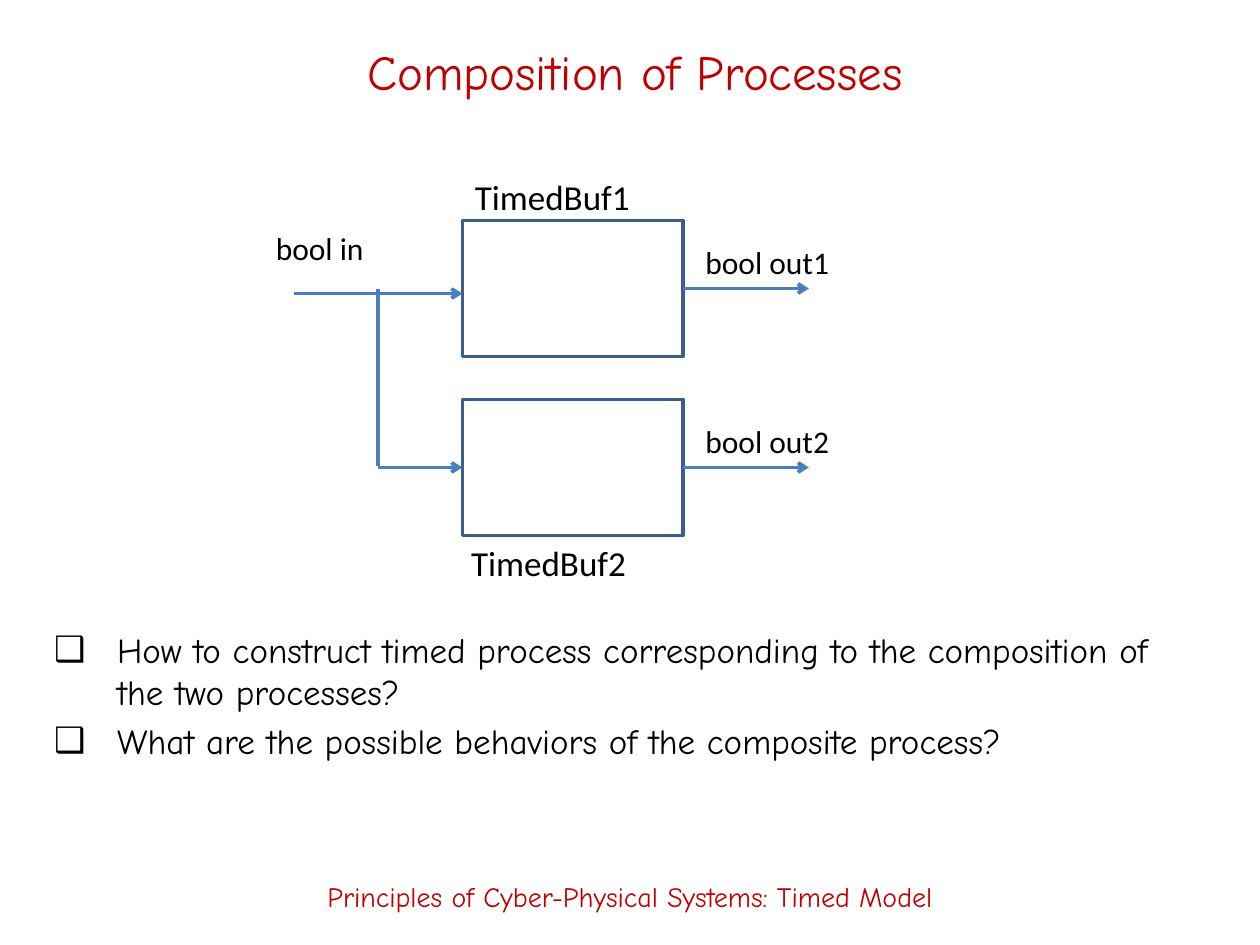
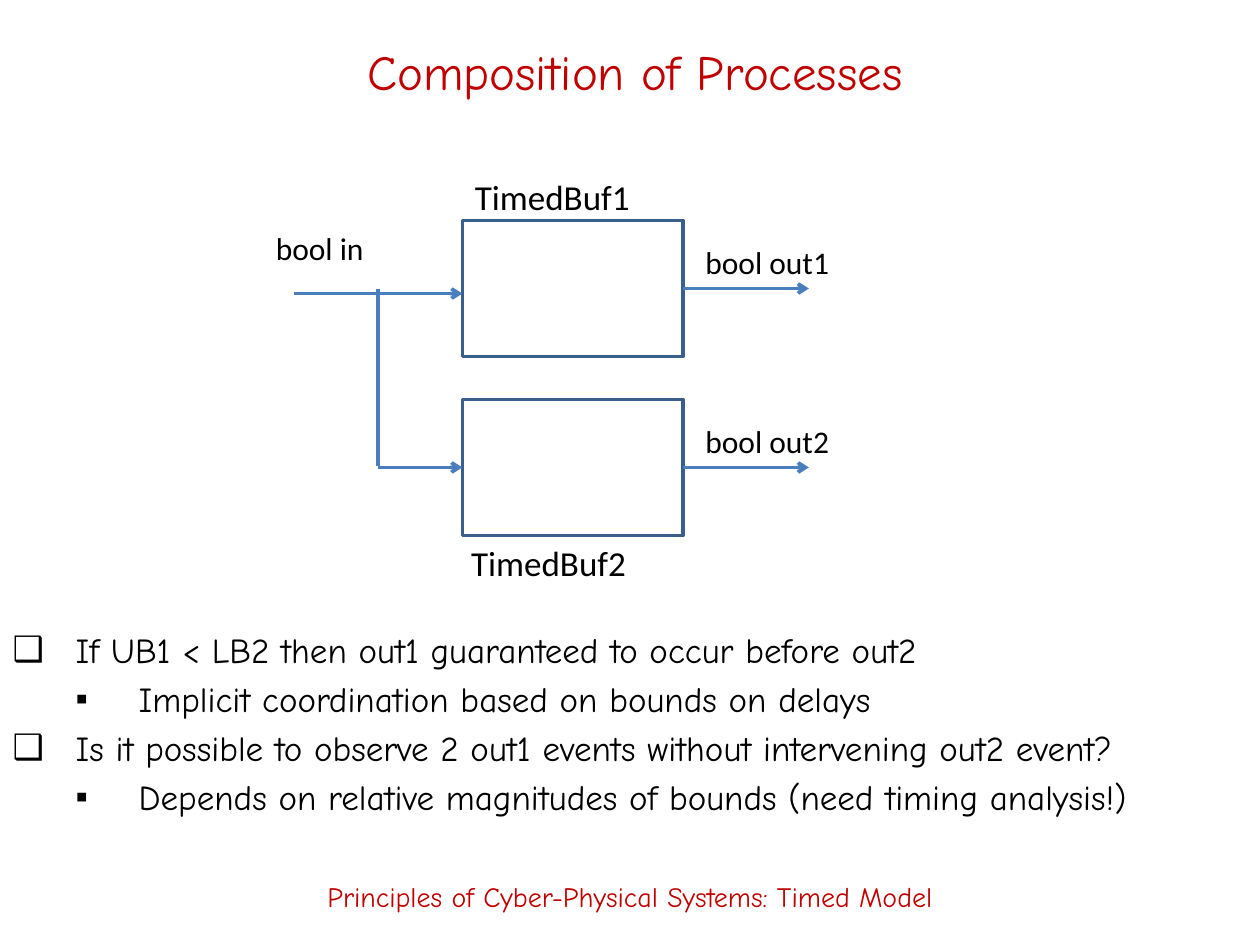
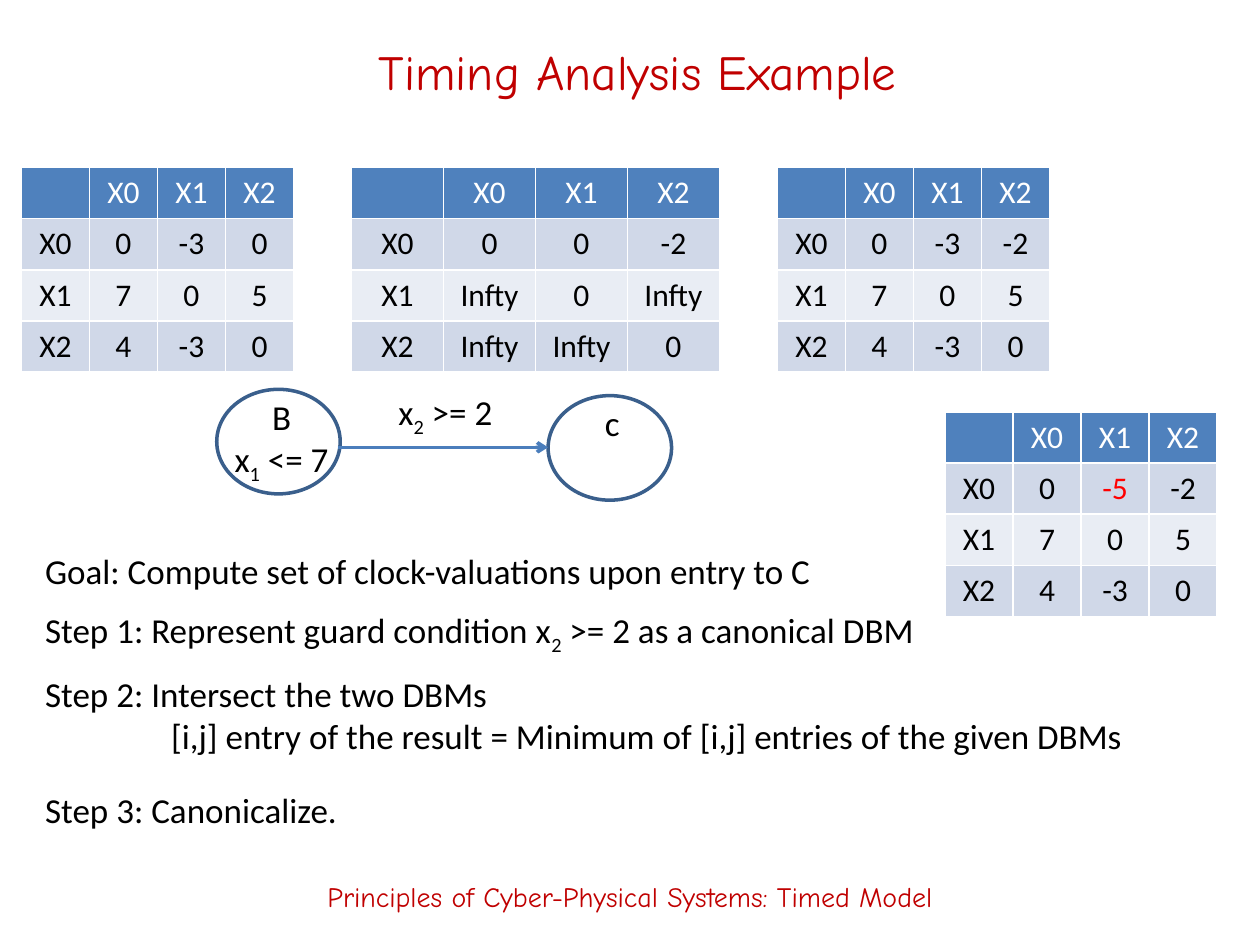
import pptx
import pptx.util
import pptx.dml.color
import pptx.enum.shapes
import pptx.enum.text
import pptx.oxml
import pptx.oxml.ns

Inches = pptx.util.Inches
Pt = pptx.util.Pt
RGBColor = pptx.dml.color.RGBColor
SHAPE = pptx.enum.shapes.MSO_SHAPE
AUTO = pptx.enum.text.MSO_AUTO_SIZE
MIDDLE = pptx.enum.text.MSO_ANCHOR.MIDDLE
LEFT = pptx.enum.text.PP_ALIGN.LEFT
CENTER = pptx.enum.text.PP_ALIGN.CENTER

RED = RGBColor(0xC0, 0x00, 0x00)
BRIGHT_RED = RGBColor(0xFF, 0x00, 0x00)
BLACK = RGBColor(0x00, 0x00, 0x00)
WHITE = RGBColor(0xFF, 0xFF, 0xFF)
OUTLINE = RGBColor(0x3A, 0x5F, 0x8C)
ARROW = RGBColor(0x4B, 0x7E, 0xBC)
HEADER = RGBColor(0x4F, 0x81, 0xBD)
BANDS = [RGBColor(0xE9, 0xED, 0xF4), RGBColor(0xD0, 0xD8, 0xE8)]
COMIC = "Comic Neue"
CALIBRI = "Calibri"
FOOTER = "Principles of Cyber-Physical Systems: Timed Model"

# Title, its left edge, list left edge and width, list items as (level, text)
SLIDES = [
    ("Composition of Processes", 0.75, 0.33, 9.33, [
        (0, "How to construct timed process corresponding to the composition of the two processes?"),
        (0, "What are the possible behaviors of the composite process?"),
    ]),
    ("Composition of Processes", 0.75, 0, 10, [
        (0, "If UB1 < LB2 then out1 guaranteed to occur before out2"),
        (1, "Implicit coordination based on bounds on delays"),
        (0, "Is it possible to observe 2 out1 events without intervening out2 event?"),
        (1, "Depends on relative magnitudes of bounds (need timing analysis!)"),
    ]),
    ("Timing Analysis Example", 0.77, 0, 0, []),
]

# Left, top, width, height, size, alignment, paragraphs; every second run is a subscript
BUFFER_LABELS = [
    (2.09, 1.77, 0.91, 0.4, 18, LEFT, [["bool in"]]),
    (5.5, 1.88, 1.2, 0.4, 18, LEFT, [["bool out1"]]),
    (5.5, 3.3, 1.2, 0.4, 18, LEFT, [["bool out2"]]),
    (3.67, 1.34, 1.44, 0.44, 20, LEFT, [["TimedBuf1"]]),
    (3.64, 4.25, 1.44, 0.44, 20, LEFT, [["TimedBuf2"]]),
]
ANALYSIS_LABELS = [
    (1.75, 3.09, 0.97, 0.77, 20, CENTER, [["B"], ["x", "1", " <= 7"]]),
    (3.02, 3.05, 1.03, 0.44, 20, CENTER, [["x", "2", " >= 2"]]),
    (4.7, 3.14, 0.32, 0.44, 20, CENTER, [["c"]]),
    (0.26, 4.31, 6.47, 0.44, 20, LEFT,
     [["Goal: Compute set of clock-valuations upon entry to C"]]),
    (0.26, 4.78, 7.16, 0.44, 20, LEFT,
     [["Step 1: Represent guard condition x", "2", " >= 2 as a canonical DBM"]]),
    (0.26, 5.29, 9.04, 0.77, 20, LEFT,
     [["Step 2: Intersect the two DBMs"],
      ["[i,j] entry of the result = Minimum of [i,j] entries of the given DBMs"]]),
    (0.26, 6.21, 2.54, 0.44, 20, LEFT, [["Step 3: Canonicalize."]]),
]

# Left, top, column width, rows of the matrix
MATRICES = [
    (0.17, 1.33, 0.54, ["0 -3 0", "7 0 5", "4 -3 0"]),
    (2.79, 1.33, 0.73, ["0 0 -2", "Infty 0 Infty", "Infty Infty 0"]),
    (6.17, 1.33, 0.54, ["0 -3 -2", "7 0 5", "4 -3 0"]),
    (7.5, 3.27, 0.54, ["0 -5 -2", "7 0 5", "4 -3 0"]),
]
CLOCKS = ["X0", "X1", "X2"]


def add_run(p, text, size, name, color):
    r = p.add_run()
    r.text = text
    r.font.size = Pt(size)
    r.font.name = name
    r.font.bold = False
    r.font.color.rgb = color
    return r


def add_line(s, x1, y1, x2, y2, arrow=True):
    line = s.shapes.add_connector(pptx.enum.shapes.MSO_CONNECTOR.STRAIGHT,
                                  Inches(x1), Inches(y1), Inches(x2), Inches(y2))
    line.line.color.rgb = ARROW
    line.line.width = Pt(2)
    if arrow:
        ln = line.line._get_or_add_ln()
        ln.append(pptx.oxml.parse_xml(f'<a:tailEnd {pptx.oxml.ns.nsdecls("a")} type="arrow"/>'))
    line._element.spPr.append(pptx.oxml.parse_xml(f'<a:effectLst {pptx.oxml.ns.nsdecls("a")}/>'))
    return line


prs = pptx.Presentation()
prs.slide_width = Inches(10)
prs.slide_height = Inches(7.5)

for title, title_left, list_left, list_width, items in SLIDES:
    s = prs.slides.add_slide(prs.slide_layouts[1 if items else 5])
    sp = s.shapes.title
    sp.left, sp.top, sp.width, sp.height = Inches(title_left), Inches(0.17), Inches(8.58), Inches(0.78)
    tf = sp.text_frame
    tf.auto_size = AUTO.NONE
    tf.vertical_anchor = MIDDLE
    p = tf.paragraphs[0]
    p.alignment = CENTER
    add_run(p, title, 28, COMIC, RED)

    if items:
        sp = s.placeholders[1]
        sp.left, sp.top, sp.width, sp.height = Inches(list_left), Inches(4.94), Inches(list_width), Inches(1.56)
        tf = sp.text_frame
        tf.auto_size = AUTO.NONE
        for i, (level, text) in enumerate(items):
            p = tf.add_paragraph() if i else tf.paragraphs[0]
            p.level = level
            p.space_before = Pt(4 if i else 0)
            pPr = p._p.get_or_add_pPr()
            pPr.set("marL", str(Inches(0.5 + 0.5 * level)))
            pPr.set("indent", str(Inches(-0.5)))
            pPr.append(pptx.oxml.parse_xml(
                f'<a:buChar {pptx.oxml.ns.nsdecls("a")} char="{"❑▪"[level]}"/>'))
            add_run(p, text, 20, COMIC, BLACK)

        # Two buffers fed by one branching input
        for top in (1.75, 3.17):
            sp = s.shapes.add_shape(SHAPE.RECTANGLE, Inches(3.67), Inches(top), Inches(1.75), Inches(1.08))
            sp.shadow.inherit = False
            sp.fill.background()
            sp.line.color.rgb = OUTLINE
            sp.line.width = Pt(2)
            middle = top + 0.54
            add_line(s, 5.42, middle, 6.42, middle).begin_connect(sp, 3)
        add_line(s, 3, middle, 3.67, middle).end_connect(sp, 1)
        add_line(s, 2.33, 2.33, 3.67, 2.33)
        add_line(s, 3, 2.29, 3, 3.7, arrow=False)
        labels = BUFFER_LABELS
    else:
        for left, top in ((1.72, 3.09), (4.35, 3.14)):
            sp = s.shapes.add_shape(SHAPE.OVAL, Inches(left), Inches(top), Inches(0.98), Inches(0.83))
            sp.shadow.inherit = False
            sp.fill.background()
            sp.line.color.rgb = OUTLINE
            sp.line.width = Pt(2)
        add_line(s, 2.68, 3.55, 4.35, 3.55)

        for left, top, col_width, rows in MATRICES:
            table = s.shapes.add_table(4, 4, Inches(left), Inches(top),
                                       Inches(4 * col_width), Inches(1.6)).table
            for col in table.columns:
                col.width = Inches(col_width)
            grid = [[""] + CLOCKS] + [[clock] + row.split() for clock, row in zip(CLOCKS, rows)]
            for i, row in enumerate(grid):
                for j, value in enumerate(row):
                    cell = table.cell(i, j)
                    cell.fill.solid()
                    cell.fill.fore_color.rgb = BANDS[i % 2] if i else HEADER
                    p = cell.text_frame.paragraphs[0]
                    p.alignment = CENTER
                    color = BRIGHT_RED if value == "-5" else BLACK if i else WHITE
                    if value:
                        add_run(p, value, 18, CALIBRI, color)
        labels = ANALYSIS_LABELS

    for left, top, width, height, size, align, paragraphs in labels:
        tf = s.shapes.add_textbox(Inches(left), Inches(top), Inches(width), Inches(height)).text_frame
        tf.word_wrap = False
        tf.auto_size = AUTO.SHAPE_TO_FIT_TEXT
        for i, runs in enumerate(paragraphs):
            p = tf.add_paragraph() if i else tf.paragraphs[0]
            p.alignment = align
            if i and align == LEFT:
                p._p.get_or_add_pPr().set("marL", str(Inches(1)))
            for k, text in enumerate(runs):
                r = add_run(p, text, size, CALIBRI, BLACK)
                if k % 2:
                    r.font._element.set("baseline", "-25000")

    tf = s.shapes.add_textbox(0, Inches(6.72), Inches(10), Inches(0.78)).text_frame
    tf.word_wrap = True
    tf.vertical_anchor = MIDDLE
    p = tf.paragraphs[0]
    p.alignment = CENTER
    add_run(p, FOOTER, 16, COMIC, RED)

prs.save("out.pptx")
